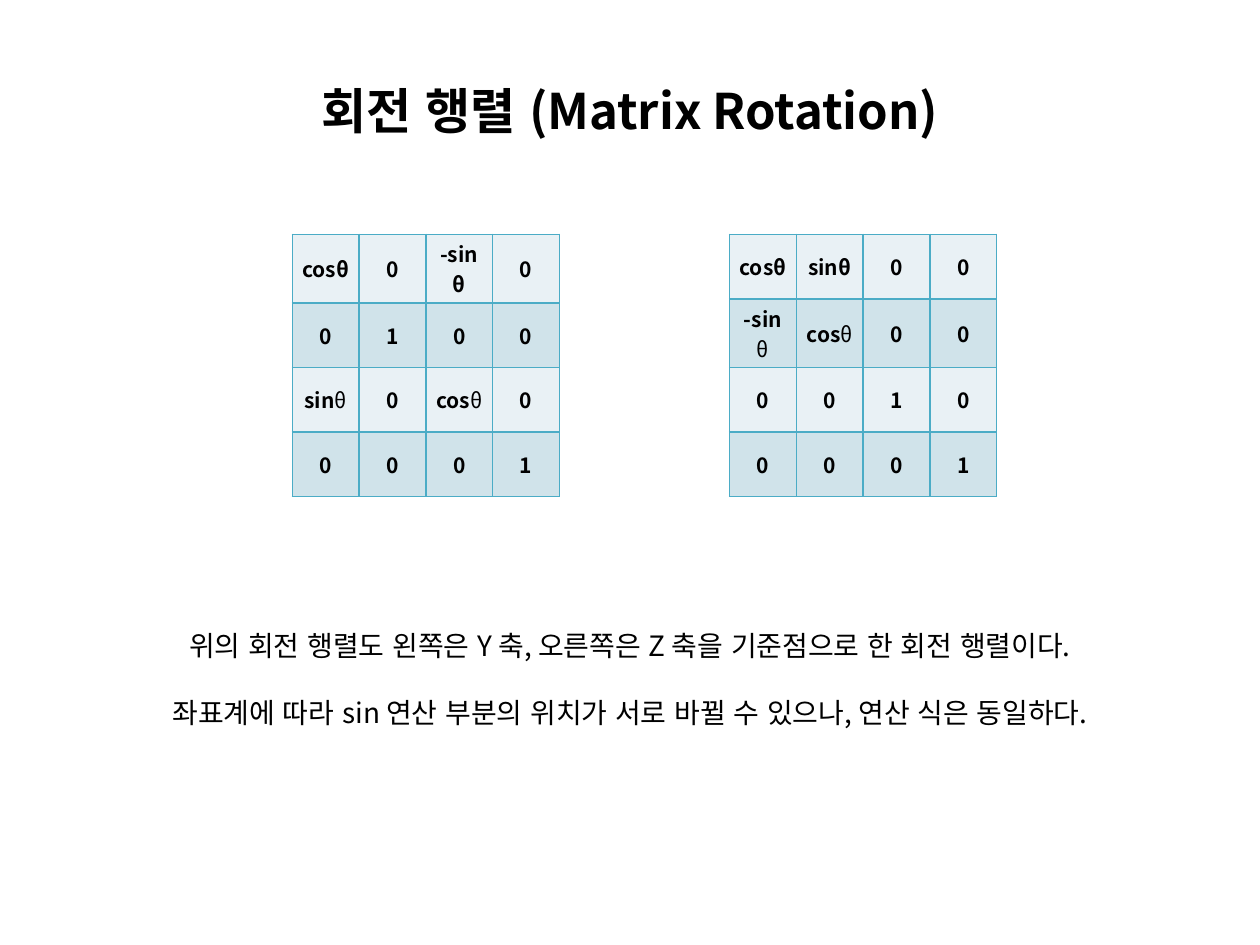
"""Build the slide on Y-axis and Z-axis rotation matrices."""
from lxml import etree
from pptx import Presentation
from pptx.dml.color import RGBColor
from pptx.enum.lang import MSO_LANGUAGE_ID
from pptx.enum.text import MSO_ANCHOR, PP_ALIGN
from pptx.oxml.ns import qn
from pptx.util import Inches, Pt

CENTER, MIDDLE = PP_ALIGN.CENTER, MSO_ANCHOR.MIDDLE
KOREAN = MSO_LANGUAGE_ID.KOREAN
FONT = "Noto Sans CJK KR"
BLACK = RGBColor(0x00, 0x00, 0x00)
BORDER = RGBColor(0x4B, 0xAC, 0xC6)
BANDS = (RGBColor(0xE9, 0xF1, 0xF5), RGBColor(0xD0, 0xE3, 0xEA))

TITLE = "회전 행렬 (Matrix Rotation)"
NOTES = [
    "위의 회전 행렬도 왼쪽은 Y 축, 오른쪽은 Z 축을 기준점으로 한 회전 행렬이다.",
    "좌표계에 따라 sin 연산 부분의 위치가 서로 바뀔 수 있으나, 연산 식은 동일하다.",
]
Y_ROTATION = [
    ["cosθ", "0", "-sinθ", "0"],
    ["0", "1", "0", "0"],
    [("sin", "θ"), "0", ("cos", "θ"), "0"],
    ["0", "0", "0", "1"],
]
Z_ROTATION = [
    ["cosθ", "sinθ", "0", "0"],
    [("-sin", "θ"), ("cos", "θ"), "0", "0"],
    ["0", "0", "1", "0"],
    ["0", "0", "0", "1"],
]
MATRICES = [(2.32, Y_ROTATION), (5.79, Z_ROTATION)]
MATRIX_TOP, MATRIX_W, MATRIX_H = 1.86, 2.12, 2.05


def add_run(p, text, size, bold=False):
    """Add formatted text to a centred paragraph."""
    p.alignment = CENTER
    r = p.add_run()
    r.text = text
    r.font.name, r.font.size, r.font.bold = FONT, Pt(size), bold
    r.font.color.rgb = BLACK
    r.font.language_id = KOREAN
    etree.SubElement(r.font._element, qn("a:ea")).set("typeface", FONT)


def add_borders(cell):
    """Draw a thin line on all four sides of a cell."""
    tcPr = cell._tc.get_or_add_tcPr()
    for side in ("L", "R", "T", "B"):
        ln = etree.SubElement(tcPr, qn(f"a:ln{side}"), w=str(Pt(1)))
        fill = etree.SubElement(ln, qn("a:solidFill"))
        etree.SubElement(fill, qn("a:srgbClr"), val=str(BORDER))


def add_matrix(s, left, rows):
    """Add one banded matrix table."""
    n = len(rows)
    table = s.shapes.add_table(n, n, Inches(left), Inches(MATRIX_TOP),
                               Inches(MATRIX_W), Inches(MATRIX_H)).table
    table.first_row = False
    for i, row in enumerate(rows):
        for j, value in enumerate(row):
            cell = table.cell(i, j)
            cell.vertical_anchor = MIDDLE
            cell.margin_left = cell.margin_right = Inches(0.07)
            cell.margin_top = cell.margin_bottom = Inches(0.03)
            add_borders(cell)
            cell.fill.solid()
            cell.fill.fore_color.rgb = BANDS[i % 2]
            parts = (value,) if isinstance(value, str) else value
            for k, part in enumerate(parts):
                add_run(cell.text_frame.paragraphs[0], part, 12, bold=k == 0)


prs = Presentation()
prs.slide_width, prs.slide_height = Inches(10), Inches(7.5)
s = prs.slides.add_slide(prs.slide_layouts[5])

title = s.shapes.title
title.left, title.top = Inches(0), Inches(0.59)
title.width, title.height = prs.slide_width, Inches(0.57)
title.text_frame.vertical_anchor = MIDDLE
add_run(title.text_frame.paragraphs[0], TITLE, 28, bold=True)

for left, rows in MATRICES:
    add_matrix(s, left, rows)

notes = s.shapes.add_textbox(Inches(0), Inches(4.93), prs.slide_width, Inches(0.91))
tf = notes.text_frame
tf.word_wrap = True
tf.vertical_anchor = MIDDLE
for i, line in enumerate(NOTES):
    p = tf.add_paragraph() if i else tf.paragraphs[0]
    p.space_before = Pt(19 if i else 0)
    add_run(p, line, 16)

prs.save("out.pptx")
